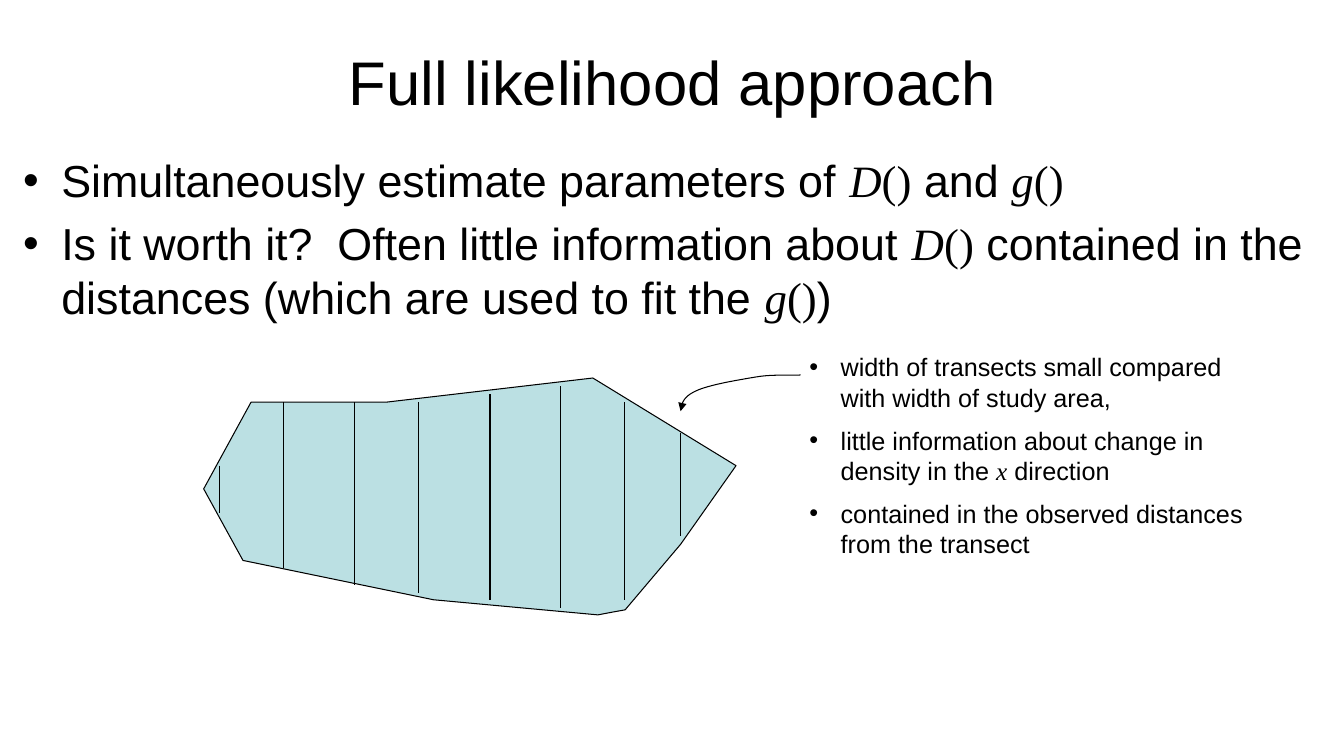
import dataclasses

import lxml.etree
import pptx
import pptx.dml.color
import pptx.enum.shapes
import pptx.enum.text
import pptx.oxml.ns
import pptx.util


@dataclasses.dataclass(frozen=True)
class Theme:
    ink: str = "000000"
    area: str = "BBE0E3"
    text_font: str = "Arial"
    math_font: str = "Times New Roman"
    title_size: float = 44
    body_size: float = 32
    note_size: float = 18
    line_width: float = 0.75


COLUMNS, ROWS = 133.3, 75
MATH_ITALIC = {"D": True, "g": True, "x": True, "()": False}


class SlideBuilder:
    """Draws themed elements on a slide measured in grid columns and rows."""

    def __init__(self, presentation, theme):
        self.theme = theme
        self.column = presentation.slide_width / COLUMNS
        self.row = presentation.slide_height / ROWS
        self.slide = presentation.slides.add_slide(presentation.slide_layouts[6])

    def point(self, column, row):
        return round(column * self.column), round(row * self.row)

    def color(self, value):
        return pptx.dml.color.RGBColor.from_string(value)

    def add_xml(self, parent, tag, **attributes):
        name = pptx.oxml.ns.qn(tag)
        return lxml.etree.SubElement(parent, name, attributes)

    def outline(self, line):
        line.color.rgb = self.color(self.theme.ink)
        line.width = pptx.util.Pt(self.theme.line_width)

    def text_frame(self, left, top, width, height):
        shape = self.slide.shapes.add_textbox(
            *self.point(left, top), *self.point(width, height)
        )
        shape.text_frame.word_wrap = True
        return shape.text_frame

    def add_runs(self, paragraph, pieces, size):
        for piece in pieces:
            run = paragraph.add_run()
            run.text = piece
            is_math = piece in MATH_ITALIC
            font = run.font
            font.name = self.theme.math_font if is_math else self.theme.text_font
            font.italic = MATH_ITALIC.get(piece, False)
            font.size = pptx.util.Pt(size)
            font.color.rgb = self.color(self.theme.ink)

    def title(self, box, text):
        frame = self.text_frame(*box)
        frame.vertical_anchor = pptx.enum.text.MSO_ANCHOR.MIDDLE
        paragraph = frame.paragraphs[0]
        paragraph.alignment = pptx.enum.text.PP_ALIGN.CENTER
        self.add_runs(paragraph, [text], self.theme.title_size)

    def bullets(self, box, items, size, indent, space_before):
        frame = self.text_frame(*box)
        margin = str(round(indent * self.column))
        for index, pieces in enumerate(items):
            paragraph = frame.add_paragraph() if index else frame.paragraphs[0]
            paragraph.space_before = pptx.util.Pt(space_before)
            self.add_runs(paragraph, pieces, size)
            properties = paragraph._p.get_or_add_pPr()
            properties.set("marL", margin)
            properties.set("indent", "-" + margin)
            self.add_xml(properties, "a:buFont", typeface=self.theme.text_font)
            self.add_xml(properties, "a:buChar", char="•")

    def outline_shape(self, points, close):
        start, *others = [self.point(*point) for point in points]
        builder = self.slide.shapes.build_freeform(*start)
        builder.add_line_segments(others, close=close)
        shape = builder.convert_to_shape()
        shape.shadow.inherit = False
        self.outline(shape.line)
        return shape

    def polygon(self, points):
        shape = self.outline_shape(points, True)
        shape.fill.solid()
        shape.fill.fore_color.rgb = self.color(self.theme.area)

    def curved_arrow(self, tip, curves):
        points = [tip]
        for curve in curves:
            points += bezier(points[-1], *curve)
        shape = self.outline_shape(points, False)
        shape.fill.background()
        self.add_xml(shape.line._get_or_add_ln(), "a:headEnd", type="triangle")

    def vertical_line(self, column, top, bottom):
        connector = self.slide.shapes.add_connector(
            pptx.enum.shapes.MSO_CONNECTOR.STRAIGHT,
            *self.point(column, top),
            *self.point(column, bottom),
        )
        self.outline(connector.line)
        self.add_xml(connector._element.spPr, "a:effectLst")


def bezier(start, first, second, end, steps=12):
    """Return the points of a cubic curve after its start."""
    points = []
    for step in range(1, steps + 1):
        t = step / steps
        weights = ((1 - t) ** 3, 3 * t * (1 - t) ** 2, 3 * t**2 * (1 - t), t**3)
        controls = zip(start, first, second, end)
        points.append(
            tuple(sum(w * v for w, v in zip(weights, axis)) for axis in controls)
        )
    return points


TITLE_BOX = (21.7, 3, 90, 10.1)
BODY_BOX = (1.3, 14.7, 129.2, 29.4)
NOTE_BOX = (79.3, 34.4, 47.4, 22.2)

BODY = [
    ["Simultaneously estimate parameters of ", "D", "()", " and ", "g", "()"],
    [
        "Is it worth it?  Often little information about ", "D", "()",
        " contained in the distances (which are used to fit the ", "g", "()", ")",
    ],
]
NOTES = [
    ["width of transects small compared with width of study area,"],
    ["little information about change in density in the ", "x", " direction"],
    ["contained in the observed distances from the transect"],
]
STUDY_AREA = [
    (62, 60.5), (60.9, 60.7), (59.3, 61), (43, 59.5), (24.1, 55.6), (20.2, 48.5),
    (24.9, 39.9), (38.3, 39.9), (58.8, 37.5), (73, 46.2), (67.5, 54),
]
TRANSECTS = [
    (21.8, 46.2, 50.9), (28.1, 39.9, 56.4), (35.2, 39.9, 58), (41.5, 39.9, 58.8),
    (48.6, 39.1, 59.5), (55.6, 38.3, 60.3), (61.9, 39.9, 59.5), (67.5, 43, 53.2),
]
ARROW_TIP = (67.5, 40.8)
ARROW_CURVES = [
    ((67.6, 40.1), (67.7, 39.4), (69, 38.8)),
    ((70.2, 38.2), (73.2, 37.7), (75, 37.4)),
    ((76.7, 37.1), (78.5, 37.3), (79.4, 37.2)),
]


def main():
    presentation = pptx.Presentation()
    presentation.slide_width = pptx.util.Inches(13.33)
    presentation.slide_height = pptx.util.Inches(7.5)
    theme = Theme()
    builder = SlideBuilder(presentation, theme)
    builder.title(TITLE_BOX, "Full likelihood approach")
    builder.bullets(BODY_BOX, BODY, theme.body_size, indent=3.8, space_before=6.4)
    builder.polygon(STUDY_AREA)
    for transect in TRANSECTS:
        builder.vertical_line(*transect)
    builder.curved_arrow(ARROW_TIP, ARROW_CURVES)
    builder.bullets(NOTE_BOX, NOTES, theme.note_size, indent=3.1, space_before=9)
    presentation.save("out.pptx")


if __name__ == "__main__":
    main()
